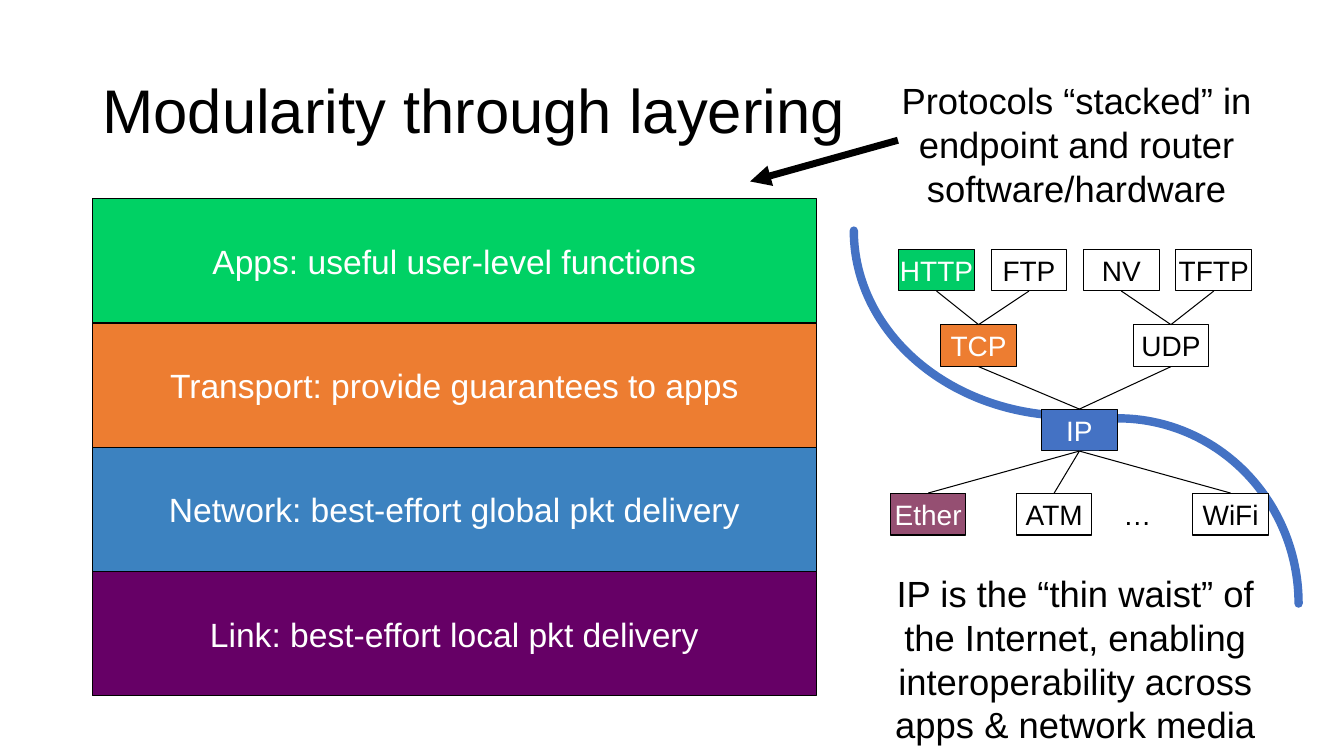
from lxml import etree
from pptx import Presentation
from pptx import util as u
from pptx.dml.color import RGBColor
from pptx.enum import shapes, text
from pptx.oxml.ns import qn

COLORS = {
    "black": "000000", "white": "FFFFFF", "apps": "00D164", "orange": "ED7D31",
    "network": "3C82C0", "link": "660066", "http": "00CC66", "blue": "4472C4",
    "ether": "954F72",
}
CELL = u.Inches(1) / 12  # the slide is a grid of 160 columns by 90 rows

deck = Presentation()
deck.slide_width, deck.slide_height = int(160 * CELL), int(90 * CELL)
slide = deck.slides.add_slide(deck.slide_layouts[6])


def grid(*cells):
    return [round(cell * CELL) for cell in cells]


def write(shape, paragraphs, size, color, align=text.PP_ALIGN.CENTER,
          anchor=text.MSO_ANCHOR.MIDDLE, wrap=True):
    """Fill a shape with paragraphs that share one format."""
    frame = shape.text_frame
    frame.text = "\n".join(paragraphs)
    frame.word_wrap, frame.vertical_anchor = wrap, anchor
    for paragraph in frame.paragraphs:
        paragraph.alignment = align
        for name, value in {"name": "Arial", "size": u.Pt(size)}.items():
            setattr(paragraph.font, name, value)
        paragraph.font.color.rgb = RGBColor.from_string(COLORS[color])


# Layer stack and protocol boxes: text, column, row, width, height, size, fill
LAYER_WIDTH, LAYER_HEIGHT, STACK_TOP = 86.16, 14.8, 23.65
layers = [
    ("Apps: useful user-level functions", "apps"),
    ("Transport: provide guarantees to apps", "orange"),
    ("Network: best-effort global pkt delivery", "network"),
    ("Link: best-effort local pkt delivery", "link"),
]
hourglass = {
    29.65: [("HTTP", 107, "http"), ("FTP", 118, "white"),
            ("NV", 129, "white"), ("TFTP", 140, "white")],
    38.65: [("TCP", 112, "orange"), ("UDP", 134.9, "white")],
    48.7: [("IP", 124, "blue")],
    58.7: [("Ether", 106, "ether"), ("ATM", 121, "white"),
           ("…", 130.9, "white"), ("WiFi", 142, "white")],
}
boxes = [(label, 11, STACK_TOP + i * LAYER_HEIGHT, LAYER_WIDTH, LAYER_HEIGHT, 24, fill)
         for i, (label, fill) in enumerate(layers)]
boxes += [(label, column, row, 9, 5, 20, fill)
          for row, protocols in hourglass.items() for label, column, fill in protocols]

# Hourglass outline: quarter ellipses, drawn behind the boxes
for column, row, width, turn in [(101.64, 5.4, 51.6, 180), (111.6, 49.8, 43, 0)]:
    waist = slide.shapes.add_shape(shapes.MSO_SHAPE.ARC, *grid(column, row, width, 44.1))
    waist.rotation = turn
    waist.shadow.inherit = False
    waist.fill.background()
    waist.line.color.rgb = RGBColor.from_string(COLORS["blue"])
    waist.line.width = u.Pt(6)
    waist.element.spPr.find(qn("a:ln")).set("cap", "rnd")

placed = {}
for label, column, row, width, height, size, fill in boxes:
    box = slide.shapes.add_shape(shapes.MSO_SHAPE.RECTANGLE, *grid(column, row, width, height))
    box.shadow.inherit = False
    box.fill.solid()
    box.fill.fore_color.rgb = RGBColor.from_string(COLORS[fill])
    if label == "…":
        box.line.fill.background()
    else:
        box.line.color.rgb = RGBColor.from_string(COLORS["black"])
        box.line.width = u.Pt(0.75)
    write(box, [label], size, "black" if fill == "white" else "white", wrap=False)
    placed[label] = box

# Links run from the bottom of the upper box to the top of the lower one
links = []
for upper, lower in [("HTTP", "TCP"), ("FTP", "TCP"), ("NV", "UDP"), ("TFTP", "UDP"),
                     ("TCP", "IP"), ("UDP", "IP"), ("IP", "WiFi"), ("IP", "Ether"),
                     ("IP", "ATM")]:
    link = slide.shapes.add_connector(shapes.MSO_CONNECTOR.STRAIGHT, 0, 0, 0, 0)
    link.begin_connect(placed[upper], 2)
    link.end_connect(placed[lower], 0)
    links.append((link, 0.75))

pointer = slide.shapes.add_connector(
    shapes.MSO_CONNECTOR.STRAIGHT, *grid(106.9, 16.7, 89.3, 21.6))
for line, weight in links + [(pointer, 5)]:
    line.line.color.rgb = RGBColor.from_string(COLORS["black"])
    line.line.width = u.Pt(weight)
    etree.SubElement(line._element.spPr, qn("a:effectLst"))
etree.SubElement(pointer._element.spPr.find(qn("a:ln")), qn("a:tailEnd"), type="triangle")

title = slide.shapes.add_textbox(*grid(11, 4.8, 143.5, 17.4))
write(title, ["Modularity through layering"], 44, "black", align=text.PP_ALIGN.LEFT)
title.text_frame.paragraphs[0].line_spacing = 0.9

notes = [
    ((102.7, 8.75, 51, 16.9),
     ["Protocols “stacked” in endpoint and router software/hardware"]),
    ((102.25, 67.45, 51.6, 22.2),
     ["IP is the “thin waist” of the Internet, enabling",
      "interoperability across apps & network media"]),
]
for area, paragraphs in notes:
    remark = slide.shapes.add_textbox(*grid(*area))
    write(remark, paragraphs, 26, "black", anchor=text.MSO_ANCHOR.TOP)

deck.save("out.pptx")
